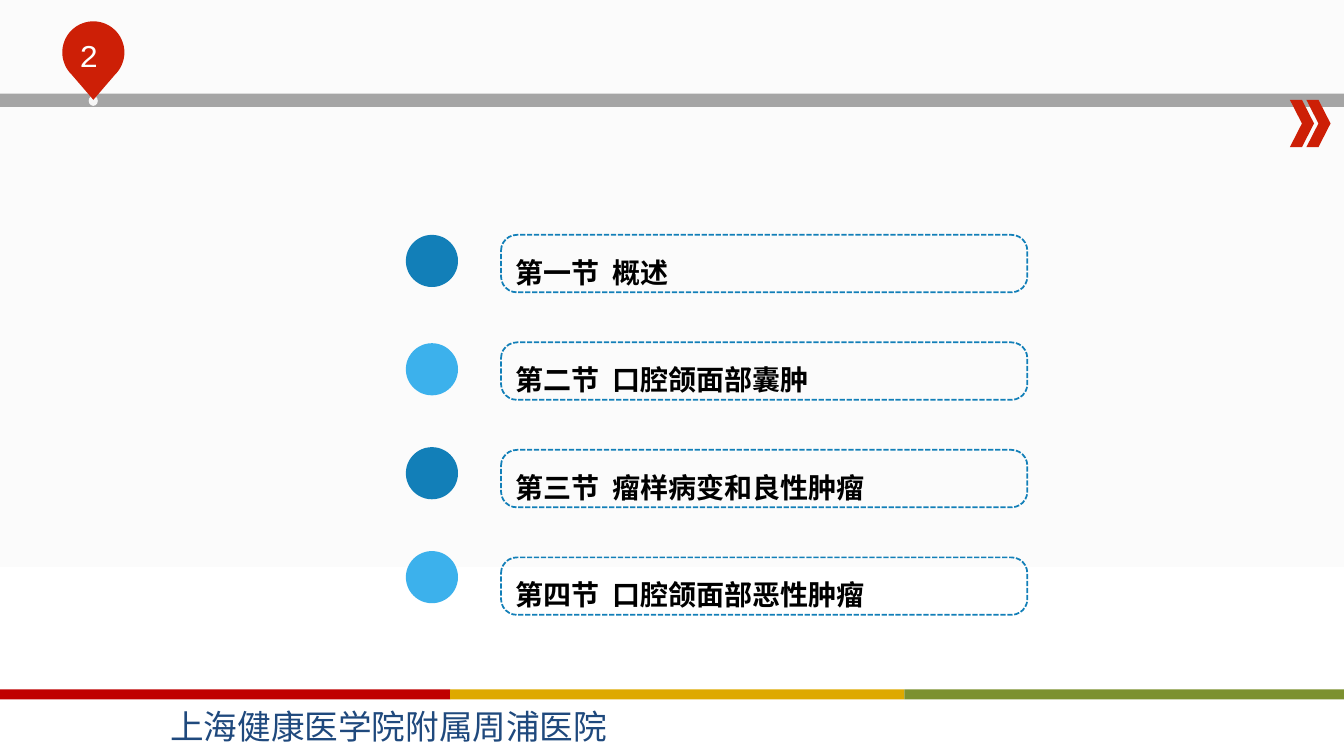
from math import cos, radians, sin

from lxml import etree
from pptx import Presentation
from pptx.dml.color import RGBColor
from pptx.enum.dml import MSO_LINE
from pptx.enum.shapes import MSO_SHAPE
from pptx.enum.text import MSO_ANCHOR, PP_ALIGN
from pptx.oxml.ns import qn
from pptx.util import Inches, Pt

RECT, OVAL = MSO_SHAPE.RECTANGLE, MSO_SHAPE.OVAL
CHEVRON, ROUNDED = MSO_SHAPE.CHEVRON, MSO_SHAPE.ROUNDED_RECTANGLE
DASH, MIDDLE = MSO_LINE.SQUARE_DOT, MSO_ANCHOR.MIDDLE
LEFT, CENTER = PP_ALIGN.LEFT, PP_ALIGN.CENTER

PAPER = RGBColor(0xFB, 0xFB, 0xFB)
WHITE = RGBColor(0xFF, 0xFF, 0xFF)
BLACK = RGBColor(0x00, 0x00, 0x00)
GREY = RGBColor(0xA5, 0xA5, 0xA5)
PALE = RGBColor(0xF6, 0xF6, 0xF6)
RED = RGBColor(0xCD, 0x1F, 0x06)
NAVY = RGBColor(0x1F, 0x49, 0x7D)
BLUE = RGBColor(0x12, 0x7F, 0xB8)
SKY = RGBColor(0x3C, 0xB1, 0xEC)
STRIPES = [RGBColor(0xC0, 0x00, 0x00), RGBColor(0xDE, 0xA9, 0x00),
           RGBColor(0x7C, 0x91, 0x2F)]

WIDTH, HEIGHT = Inches(13.33), Inches(7.5)
CJK = "Noto Sans CJK SC"
SECTION_TAB = Inches(0.96)

# Section number, section title, top of its dot in percent, dot colour
SECTIONS = [
    ("第一节", "概述", 31.07, BLUE),
    ("第二节", "口腔颌面部囊肿", 45.4, SKY),
    ("第三节", "瘤样病变和良性肿瘤", 59.15, BLUE),
    ("第四节", "口腔颌面部恶性肿瘤", 72.9, SKY),
]


def area(left, top, width, height):
    """Turn percentages of the slide into lengths."""
    return (round(WIDTH * left / 100), round(HEIGHT * top / 100),
            round(WIDTH * width / 100), round(HEIGHT * height / 100))


def paint(sp, fill):
    sp.shadow.inherit = False
    sp.fill.solid()
    sp.fill.fore_color.rgb = fill
    sp.line.fill.background()


def add_solid(s, preset, place, fill):
    sp = s.shapes.add_shape(preset, *area(*place))
    paint(sp, fill)


def write(sp, text, size, color, font, align=LEFT, bold=False,
          spacing=None, tab=None):
    sp.text_frame.word_wrap = True
    p = sp.text_frame.paragraphs[0]
    p.alignment = align
    if spacing:
        p.line_spacing = spacing
    if tab:
        stops = etree.SubElement(p._p.get_or_add_pPr(), qn("a:tabLst"))
        etree.SubElement(stops, qn("a:tab"), pos=str(tab), algn="l")
    r = p.add_run()
    r.text = text
    r.font.name = font
    r.font.size = Pt(size)
    r.font.bold = bold
    r.font.color.rgb = color
    etree.SubElement(r._r.get_or_add_rPr(), qn("a:ea"), typeface=CJK)


def add_label(s, place, text, **style):
    write(s.shapes.add_textbox(*area(*place)), text, **style)


def add_pin(s, center_x, center_y, radius, tip_y):
    """Draw a round marker that runs down to a point."""
    x, y, r, tip = area(center_x, center_y, radius, tip_y)
    arc = [(x + r * cos(radians(a)), y + r * sin(radians(a)))
           for a in range(135, 406, 5)]
    builder = s.shapes.build_freeform(x, tip)
    builder.add_line_segments(arc, close=True)
    paint(builder.convert_to_shape(), RED)


def add_section(s, row, number, title, dot_top, dot_color):
    add_solid(s, OVAL, (30.2, dot_top, 3.88, 6.9), dot_color)
    sp = s.shapes.add_shape(ROUNDED, *area(37.28, 31.07 + 14.22 * row, 39.16, 7.6))
    sp.shadow.inherit = False
    sp.adjustments[0] = 0.275
    sp.fill.background()
    sp.line.color.rgb = BLUE
    sp.line.width = Pt(1.25)
    sp.line.dash_style = DASH
    sp.text_frame.vertical_anchor = MIDDLE
    write(sp, f"{number}\t{title}", size=20, color=BLACK,
          font="Times New Roman", bold=True, spacing=1.5, tab=SECTION_TAB)


def set_background(s):
    fill = s.background.fill
    fill.gradient()
    fill.gradient_angle = 270
    for stop, position, color in zip(fill.gradient_stops, (0.5, 1), (PAPER, WHITE)):
        stop.position = position
        stop.color.rgb = color


def add_header(s):
    add_solid(s, RECT, (0, 12.4, 100, 1.73), GREY)
    for left in (95.97, 97.2):
        add_solid(s, CHEVRON, (left, 13.2, 1.8, 6.27), RED)
    add_solid(s, OVAL, (6.6, 12.67, 0.68, 1.33), PALE)
    add_pin(s, 6.95, 6.93, 2.31, 13.2)
    add_label(s, (3.35, 4.13, 6.53, 5.33), "2", size=22.6,
              color=WHITE, font="Courier New", align=CENTER)


def add_footer(s):
    for i, color in enumerate(STRIPES):
        add_solid(s, RECT, (-0.3 + 33.8 * i, 91.2, 33.8, 1.33), color)
    add_label(s, (11.93, 92.67, 38, 6.67), "上海健康医学院附属周浦医院",
              size=24, color=NAVY, font=CJK)


def main():
    prs = Presentation()
    prs.slide_width, prs.slide_height = WIDTH, HEIGHT
    s = prs.slides.add_slide(prs.slide_layouts[6])
    set_background(s)
    add_header(s)
    add_footer(s)
    for row, section in enumerate(SECTIONS):
        add_section(s, row, *section)
    prs.save("out.pptx")


if __name__ == "__main__":
    main()
